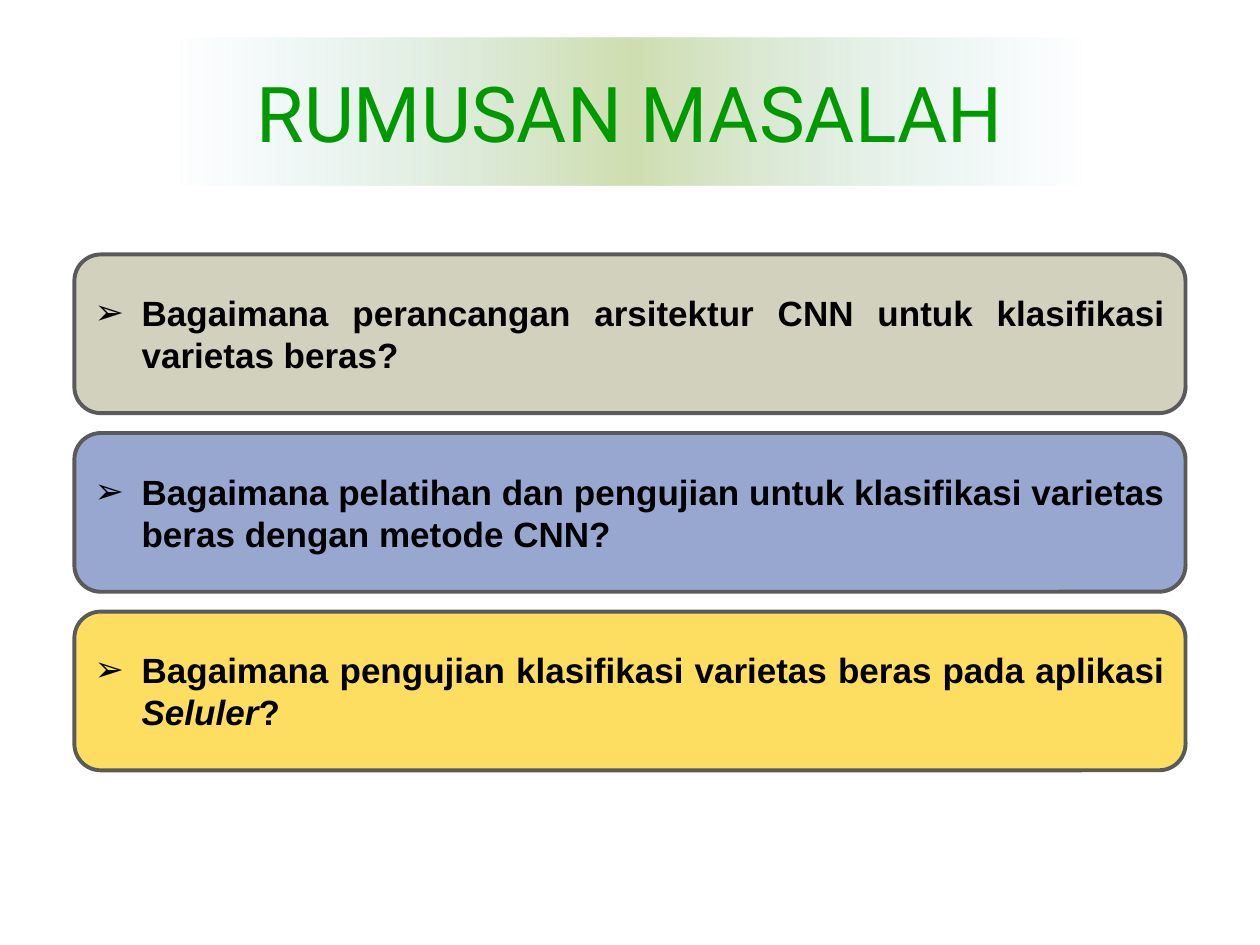
from lxml.etree import SubElement
from pptx import Presentation
from pptx.dml.color import RGBColor
from pptx.enum.shapes import MSO_SHAPE as Shape
from pptx.enum.text import MSO_ANCHOR as Anchor, PP_ALIGN as Align
from pptx.oxml.ns import qn
from pptx.util import Cm, Pt

COLOURS = {
    "title": "009900",
    "text": "000000",
    "border": "5A5A5A",
    "glow_edge": "B7DEE8",
    "glow_centre": "C3D69B",
    "stone": "D2D1BE",
    "blue": "97A7D0",
    "yellow": "FEDE61",
}
TITLE_FORMAT = {"name": "Roboto", "size": Pt(44), "bold": False}
QUESTION_FORMAT = {"name": "Arial", "size": Pt(20), "bold": True}
GLOW_STOPS = [(10, "glow_edge", 0), (50, "glow_centre", 80), (90, "glow_edge", 0)]
QUESTIONS = [
    ("stone", [("Bagaimana perancangan arsitektur CNN untuk klasifikasi varietas beras?", False)]),
    ("blue", [("Bagaimana pelatihan dan pengujian untuk klasifikasi varietas beras dengan metode CNN?", False)]),
    ("yellow", [
        ("Bagaimana pengujian klasifikasi varietas beras pada aplikasi ", False),
        ("Seluler", True),
        ("?", False),
    ]),
]
CARD_LEFT, CARD_TOP, CARD_WIDTH, CARD_HEIGHT, CARD_PITCH = 1.5, 5.13, 22.4, 3.2, 3.6


def colour(key):
    """Return the named colour."""
    return RGBColor.from_string(COLOURS[key])


def set_values(target, values):
    """Set attributes of an object from a dict."""
    for name, value in values.items():
        setattr(target, name, value)


def add_run(paragraph, text, values, colour_key):
    """Add a formatted run to a paragraph."""
    run = paragraph.add_run()
    run.text = text
    set_values(run.font, values)
    run.font.color.rgb = colour(colour_key)
    return run


def add_glow(shape):
    """Fill a shape with a horizontal gradient that fades out at both ends."""
    gradient = SubElement(shape.element.spPr, qn("a:gradFill"), rotWithShape="1")
    stops = SubElement(gradient, qn("a:gsLst"))
    for position, key, opacity in GLOW_STOPS:
        stop = SubElement(stops, qn("a:gs"), pos=str(position * 1000))
        tint = SubElement(stop, qn("a:srgbClr"), val=COLOURS[key])
        SubElement(tint, qn("a:alpha"), val=str(opacity * 1000))
    SubElement(gradient, qn("a:lin"), ang="0", scaled="0")


def add_bullet(paragraph, character, indent):
    """Give a paragraph a hanging bullet."""
    properties = paragraph._p.get_or_add_pPr()
    properties.set("marL", str(indent))
    properties.set("indent", str(-indent))
    SubElement(properties, qn("a:buFont"), typeface="Arial")
    SubElement(properties, qn("a:buChar"), char=character)


def format_title(title, text):
    """Place and style the title placeholder."""
    set_values(title, {"left": Cm(1.27), "top": Cm(0.76), "width": Cm(22.86), "height": Cm(2.97)})
    add_glow(title)
    title.text_frame.vertical_anchor = Anchor.MIDDLE
    paragraph = title.text_frame.paragraphs[0]
    paragraph.alignment = Align.CENTER
    add_run(paragraph, text, TITLE_FORMAT, "title")


def add_question(slide, top, fill_key, parts):
    """Add a rounded card holding one bulleted question."""
    card = slide.shapes.add_shape(
        Shape.FLOWCHART_ALTERNATE_PROCESS,
        Cm(CARD_LEFT), Cm(top), Cm(CARD_WIDTH), Cm(CARD_HEIGHT),
    )
    card.shadow.inherit = False
    card.fill.solid()
    card.fill.fore_color.rgb = colour(fill_key)
    card.line.color.rgb = colour("border")
    card.line.width = Pt(2.25)
    set_values(card.text_frame, {"word_wrap": True, "vertical_anchor": Anchor.MIDDLE})
    paragraph = card.text_frame.paragraphs[0]
    paragraph.alignment = Align.JUSTIFY
    add_bullet(paragraph, "➢", Cm(0.95))
    for text, italic in parts:
        add_run(paragraph, text, {**QUESTION_FORMAT, "italic": italic}, "text")


def main():
    """Build and save the slide."""
    presentation = Presentation()
    set_values(presentation, {"slide_width": Cm(25.4), "slide_height": Cm(19.05)})
    slide = presentation.slides.add_slide(presentation.slide_layouts.get_by_name("Title Only"))
    format_title(slide.shapes.title, "RUMUSAN MASALAH")
    for index, (fill_key, parts) in enumerate(QUESTIONS):
        add_question(slide, CARD_TOP + index * CARD_PITCH, fill_key, parts)
    presentation.save("out.pptx")


if __name__ == "__main__":
    main()
